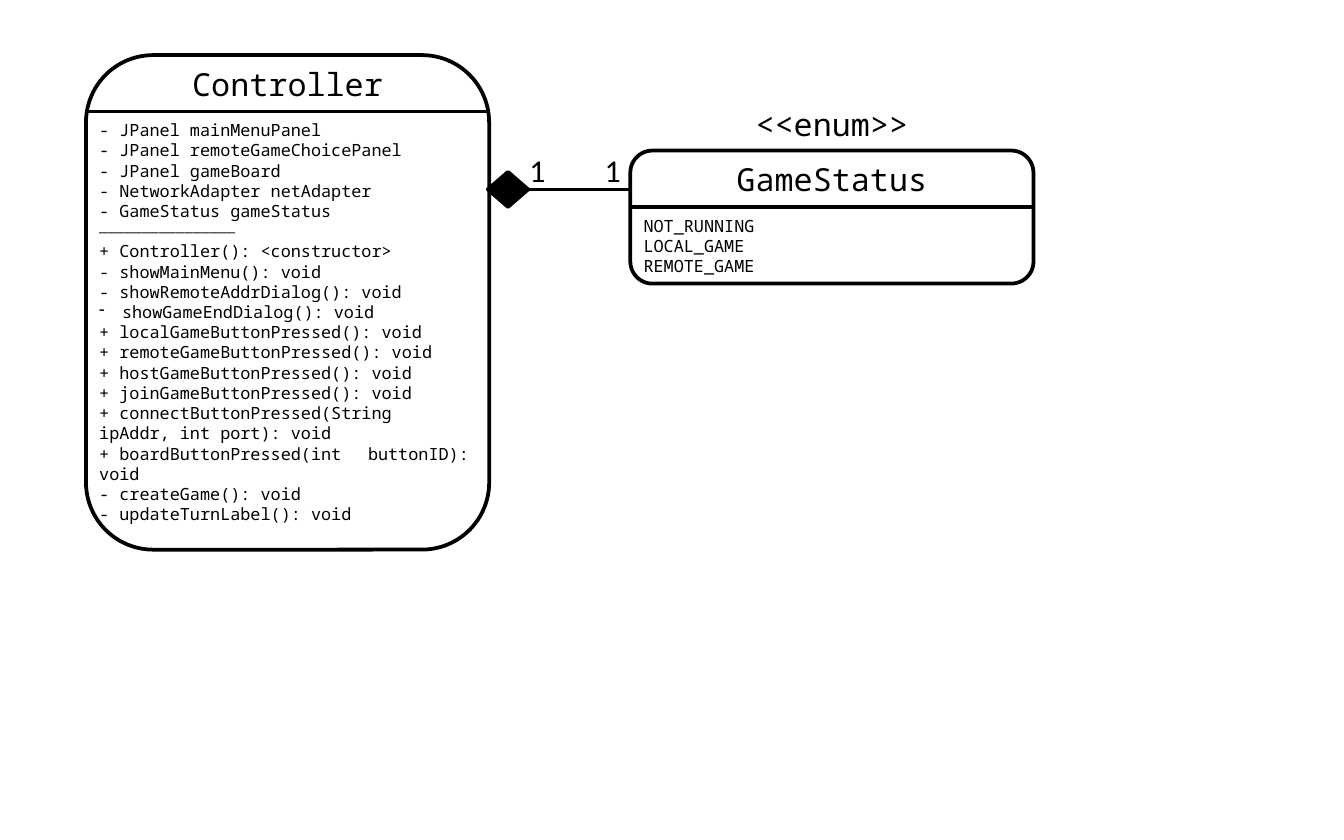
from lxml import etree
from pptx import Presentation, util as u
from pptx.dml.color import RGBColor
from pptx.enum import shapes, text
from pptx.oxml.ns import qn

BLACK = RGBColor(0, 0, 0)
WHITE = RGBColor(255, 255, 255)
MONO = "Noto Sans Mono"

prs = Presentation()
prs.slide_width, prs.slide_height = u.Inches(10), u.Inches(6.25)
s = prs.slides.add_slide(prs.slide_layouts[6])

# Grid of 100 columns by 100 rows
COL, ROW = prs.slide_width / 100, prs.slide_height / 100
CLASS_W, HEAD_H = 30, 6.72


def add_outline(kind, x, y, w, h, fill=None):
    """Add a filled outline, or a line when no fill is given."""
    box = [round(v) for v in (x * COL, y * ROW, w * COL, h * ROW)]
    if fill is None:
        sp = s.shapes.add_connector(kind, box[0], box[1], box[0] + box[2], box[1] + box[3])
        etree.SubElement(sp._element.spPr, qn("a:effectLst"))
    else:
        sp = s.shapes.add_shape(kind, *box)
        sp.shadow.inherit = False
        sp.fill.solid()
        sp.fill.fore_color.rgb = fill
    sp.line.color.rgb = BLACK
    sp.line.width = u.Pt(2)


def add_text(x, y, w, h, lines, size=9, font=MONO, **frame):
    """Add a text box with one paragraph per line."""
    box = [round(v) for v in (x * COL, y * ROW, w * COL, h * ROW)]
    tf = s.shapes.add_textbox(*box).text_frame
    for name, value in ({"word_wrap": True} | frame).items():
        setattr(tf, name, value)
    for i, line in enumerate(lines):
        p = tf.add_paragraph() if i else tf.paragraphs[0]
        r = p.add_run()
        r.text = line
        for name, value in {"size": u.Pt(size), "name": font}.items():
            setattr(r.font, name, value)
        r.font.color.rgb = BLACK
    return tf


controller_lines = [
    "- JPanel mainMenuPanel",
    "- JPanel remoteGameChoicePanel",
    "- JPanel gameBoard",
    "- NetworkAdapter netAdapter",
    "- GameStatus gameStatus",
    "\u23af" * 16,
    "+ Controller(): <constructor>",
    "- showMainMenu(): void",
    "- showRemoteAddrDialog(): void",
    "showGameEndDialog(): void",
    "+ localGameButtonPressed(): void",
    "+ remoteGameButtonPressed(): void",
    "+ hostGameButtonPressed(): void",
    "+ joinGameButtonPressed(): void",
    "+ connectButtonPressed(String \tipAddr, int port): void",
    "+ boardButtonPressed(int \tbuttonID): void",
    "- createGame(): void",
    "- updateTurnLabel(): void",
]
status_lines = ["NOT_RUNNING", "LOCAL_GAME", "REMOTE_GAME"]
classes = [
    ("Controller", 6.4, 6.56, 58.88, controller_lines),
    ("GameStatus", 46.9, 17.92, 15.84, status_lines),
]
headings = [(name, x, y) for name, x, y, _, _ in classes]
headings.append(("<<enum>>", 46.9, 17.92 - HEAD_H + 0.16))

# Class boxes with divider and members
members = {}
for name, x, y, h, lines in classes:
    add_outline(shapes.MSO_SHAPE.ROUNDED_RECTANGLE, x, y, CLASS_W, h, WHITE)
    add_outline(shapes.MSO_CONNECTOR.STRAIGHT, x, y + HEAD_H, CLASS_W, 0)
    members[name] = add_text(x, y + HEAD_H + 0.2, CLASS_W, h - HEAD_H, lines)

# Class names and stereotype
for name, x, y in headings:
    tf = add_text(x, y, CLASS_W, HEAD_H, [name], 17,
                  vertical_anchor=text.MSO_ANCHOR.MIDDLE)
    tf.paragraphs[0].alignment = text.PP_ALIGN.CENTER

# Dash bullet on the one listed method
bullet_line = controller_lines.index("showGameEndDialog(): void")
pPr = members["Controller"].paragraphs[bullet_line]._p.get_or_add_pPr()
pPr.set("marL", str(u.Inches(0.17)))
pPr.set("indent", str(-u.Inches(0.17)))
etree.SubElement(pPr, qn("a:buChar")).set("char", "-")

# Composition link with multiplicities
add_outline(shapes.MSO_SHAPE.DIAMOND, 36.3, 20.48, 3, 4.16, BLACK)
add_outline(shapes.MSO_CONNECTOR.STRAIGHT, 39.3, 22.56, 7.6, 0)
for x in (38.4, 44):
    add_text(x, 17.12, 2.8, 6.08, ["1"], 17, "Calibri",
             auto_size=text.MSO_AUTO_SIZE.SHAPE_TO_FIT_TEXT)

prs.save("out.pptx")
